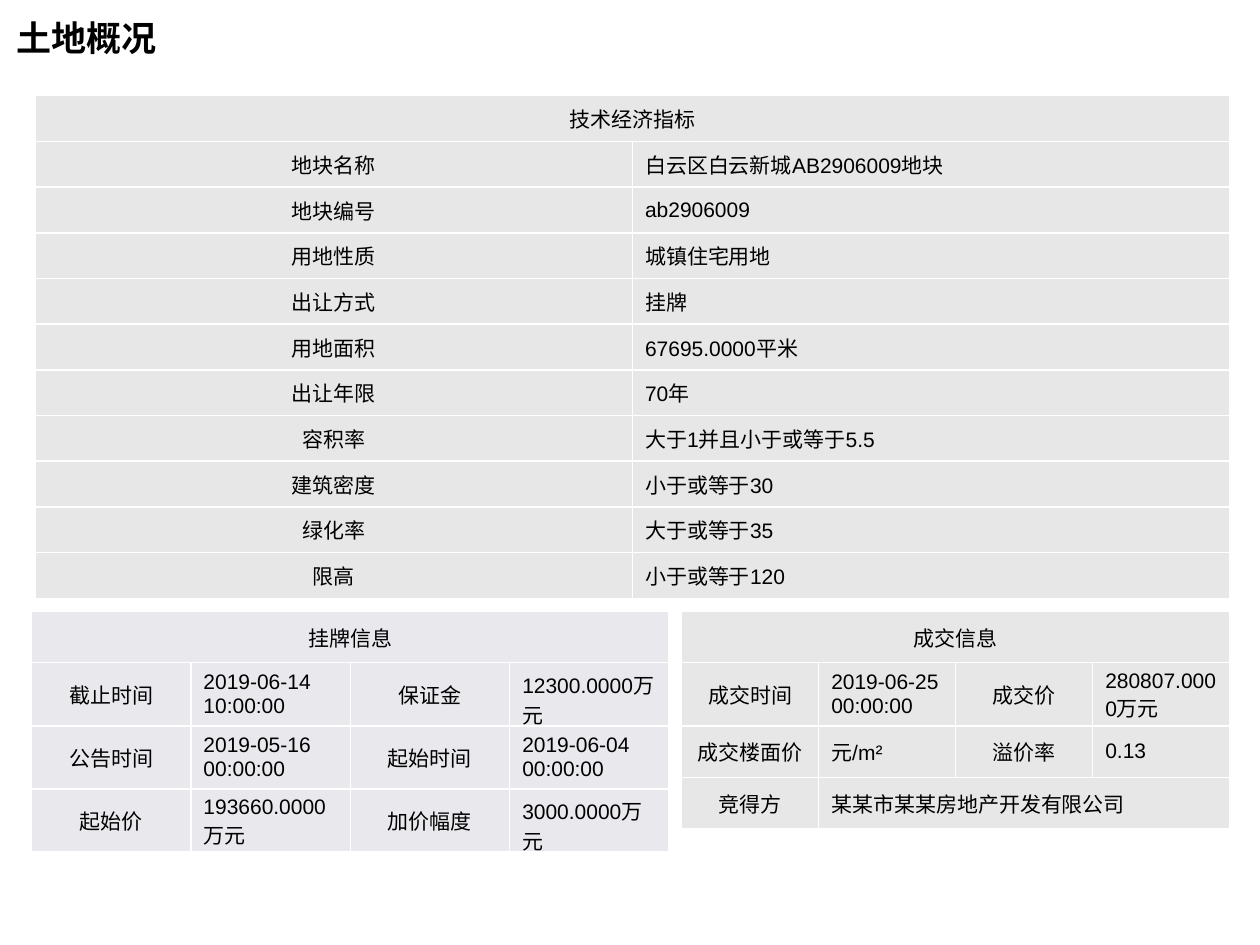
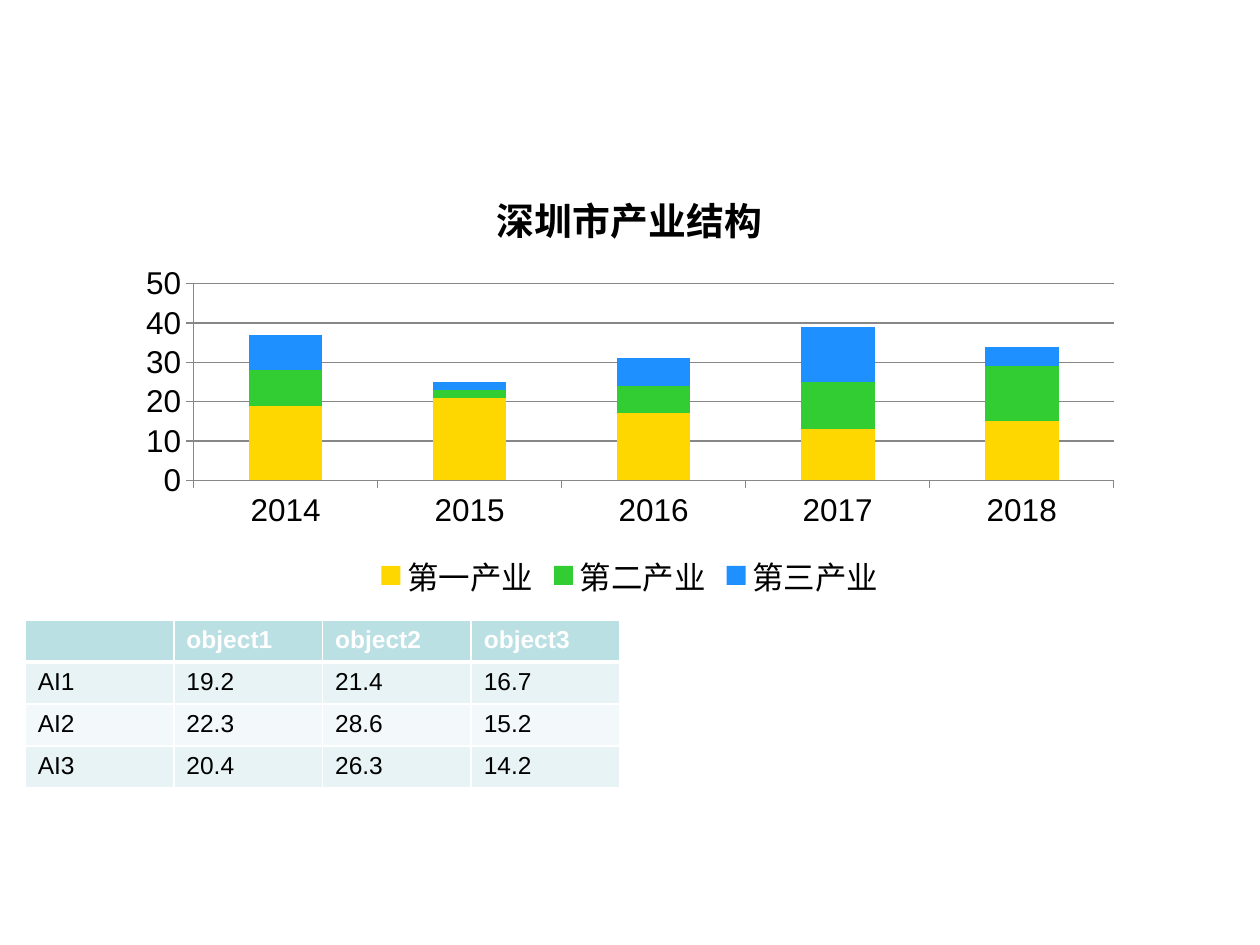
from dataclasses import dataclass

from lxml import etree
from pptx import Presentation
from pptx.chart.data import CategoryChartData
from pptx.dml.color import RGBColor
from pptx.enum.chart import XL_CHART_TYPE, XL_LEGEND_POSITION, XL_TICK_MARK
from pptx.enum.text import MSO_ANCHOR, PP_ALIGN
from pptx.oxml.ns import qn
from pptx.util import Inches, Pt

STACKED = XL_CHART_TYPE.COLUMN_STACKED
LEGEND_BOTTOM = XL_LEGEND_POSITION.BOTTOM
TICK_OUTSIDE = XL_TICK_MARK.OUTSIDE
MIDDLE, TOP = MSO_ANCHOR.MIDDLE, MSO_ANCHOR.TOP
CENTER, LEFT = PP_ALIGN.CENTER, PP_ALIGN.LEFT


@dataclass(frozen=True)
class Theme:
    font: str = "Arial"
    text: str = "000000"
    white: str = "FFFFFF"
    gray: str = "E7E7E7"
    lavender: str = "E8E8ED"
    header: str = "BBE0E3"
    bands: tuple = ("E7F3F4", "F3F9FA")
    series: tuple = ("FFD700", "32CD32", "1E90FF")
    axis: str = "878787"
    title_size: float = 20
    info_size: float = 12
    data_size: float = 14
    chart_size: float = 18
    chart_title_size: float = 21.6


LAND_INDICATORS = [
    ["技术经济指标"],
    ["地块名称", "白云区白云新城AB2906009地块"],
    ["地块编号", "ab2906009"],
    ["用地性质", "城镇住宅用地"],
    ["出让方式", "挂牌"],
    ["用地面积", "67695.0000平米"],
    ["出让年限", "70年"],
    ["容积率", "大于1并且小于或等于5.5"],
    ["建筑密度", "小于或等于30"],
    ["绿化率", "大于或等于35"],
    ["限高", "小于或等于120"],
]
DEAL_INFO = [
    ["成交信息"],
    ["成交时间", "2019-06-25 00:00:00", "成交价", "280807.0000万元"],
    ["成交楼面价", "元/m²", "溢价率", "0.13"],
    ["竞得方", "某某市某某房地产开发有限公司"],
]
LISTING_INFO = [
    ["挂牌信息"],
    ["截止时间", "2019-06-14 10:00:00", "保证金", "12300.0000万元"],
    ["公告时间", "2019-05-16 00:00:00", "起始时间", "2019-06-04 00:00:00"],
    ["起始价", "193660.0000万元", "加价幅度", "3000.0000万元"],
]
YEARS = ["2014", "2015", "2016", "2017", "2018"]
INDUSTRIES = {
    "第一产业": [19, 21, 17, 13, 15],
    "第二产业": [9, 2, 7, 12, 14],
    "第三产业": [9, 2, 7, 14, 5],
}
OBJECT_VALUES = [
    ["", "object1", "object2", "object3"],
    ["AI1", "19.2", "21.4", "16.7"],
    ["AI2", "22.3", "28.6", "15.2"],
    ["AI3", "20.4", "26.3", "14.2"],
]


class Deck:
    def __init__(self, theme):
        self.theme = theme
        self.presentation = Presentation()
        self.presentation.slide_width = Inches(10)
        self.presentation.slide_height = Inches(7.5)
        self.slide = None

    def new_slide(self):
        self.slide = self.presentation.slides.add_slide(self.presentation.slide_layouts[6])

    def style(self, font, size, color=None, bold=False):
        font.name = self.theme.font
        font.size = Pt(size)
        font.bold = bold
        font.color.rgb = RGBColor.from_string(color or self.theme.text)

    def title(self, text):
        box = self.slide.shapes.add_textbox(Inches(0.03), Inches(0.08), Inches(7.58), Inches(0.47))
        box.text_frame.word_wrap = True
        box.text_frame.text = text
        self.style(box.text_frame.paragraphs[0].runs[0].font, self.theme.title_size, bold=True)

    def borders(self, cell, bottom_width):
        """Draw white lines on all four sides of a cell."""
        properties = cell._tc.get_or_add_tcPr()
        for index, side in enumerate("LRTB"):
            width = bottom_width if side == "B" else 1
            line = etree.Element(qn(f"a:ln{side}"), w=str(Pt(width)))
            fill = etree.SubElement(line, qn("a:solidFill"))
            etree.SubElement(fill, qn("a:srgbClr"), val=self.theme.white)
            properties.insert(index, line)

    def cell(self, cell, text, fill, size, color=None, bold=False,
             align=LEFT, anchor=TOP, bottom_width=1):
        cell.fill.solid()
        cell.fill.fore_color.rgb = RGBColor.from_string(fill)
        cell.vertical_anchor = anchor
        self.borders(cell, bottom_width)
        cell.text_frame.text = text
        paragraph = cell.text_frame.paragraphs[0]
        paragraph.alignment = align
        for run in paragraph.runs:
            self.style(run.font, size, color, bold)
        if not text:
            end = etree.SubElement(paragraph._p, qn("a:endParaRPr"))
            end.set("sz", str(size * 100))

    def table(self, rows, columns, left, top, width, height):
        return self.slide.shapes.add_table(
            rows, columns, Inches(left), Inches(top), Inches(width), Inches(height)).table

    def info_table(self, rows, left, top, width, height, fill):
        """Label/value table; the last cell of a short row spans the rest."""
        columns = max(map(len, rows))
        table = self.table(len(rows), columns, left, top, width, height)
        for row, texts in enumerate(rows):
            if len(texts) < columns:
                table.cell(row, len(texts) - 1).merge(table.cell(row, columns - 1))
            for column in range(columns):
                text = texts[column] if column < len(texts) else ""
                self.cell(table.cell(row, column), text, fill, self.theme.info_size,
                          align=LEFT if column % 2 else CENTER, anchor=MIDDLE)

    def data_table(self, rows, left, top, width, height):
        """Table with a bold header row and alternating bands."""
        theme = self.theme
        table = self.table(len(rows), len(rows[0]), left, top, width, height)
        for row, texts in enumerate(rows):
            for column, text in enumerate(texts):
                cell = table.cell(row, column)
                if row == 0:
                    self.cell(cell, text, theme.header, theme.data_size, theme.white,
                              bold=True, bottom_width=3)
                else:
                    self.cell(cell, text, theme.bands[(row - 1) % 2], theme.data_size)

    def stacked_chart(self, title, categories, series, left, top, width, height):
        theme = self.theme
        data = CategoryChartData()
        data.categories = categories
        for name, values in series.items():
            data.add_series(name, values)
        chart = self.slide.shapes.add_chart(
            STACKED, Inches(left), Inches(top), Inches(width), Inches(height), data).chart
        self.style(chart.font, theme.chart_size)

        chart.has_title = True
        chart.chart_title.include_in_layout = False
        chart.chart_title.text_frame.text = title
        run = chart.chart_title.text_frame.paragraphs[0].runs[0]
        self.style(run.font, theme.chart_title_size, bold=True)

        chart.has_legend = True
        chart.legend.position = LEGEND_BOTTOM
        chart.legend.include_in_layout = False

        plot = chart.plots[0]
        plot.overlap, plot.gap_width, plot.vary_by_categories = 100, 150, False
        for bars, color in zip(plot.series, theme.series):
            bars.format.fill.solid()
            bars.format.fill.fore_color.rgb = RGBColor.from_string(color)

        value_axis = chart.value_axis
        value_axis.minimum_scale, value_axis.maximum_scale, value_axis.major_unit = 0, 50, 10
        value_axis.has_major_gridlines = True
        for axis in (chart.category_axis, value_axis):
            axis.major_tick_mark = TICK_OUTSIDE
        for lines in (chart.category_axis, value_axis, value_axis.major_gridlines):
            lines.format.line.color.rgb = RGBColor.from_string(theme.axis)
            lines.format.line.width = Pt(0.75)


def main():
    theme = Theme()
    deck = Deck(theme)

    deck.new_slide()
    deck.title("土地概况")
    deck.info_table(LAND_INDICATORS, 0.28, 0.76, 9.48, 3.99, theme.gray)
    deck.info_table(DEAL_INFO, 5.41, 4.85, 4.35, 1.64, theme.gray)
    deck.info_table(LISTING_INFO, 0.25, 4.85, 5.06, 1.64, theme.lavender)

    deck.new_slide()
    deck.stacked_chart("深圳市产业结构", YEARS, INDUSTRIES, 1, 1.3, 8, 3.5)
    deck.data_table(OBJECT_VALUES, 0.2, 4.92, 4.72, 0.31)

    deck.presentation.save("out.pptx")


if __name__ == "__main__":
    main()
